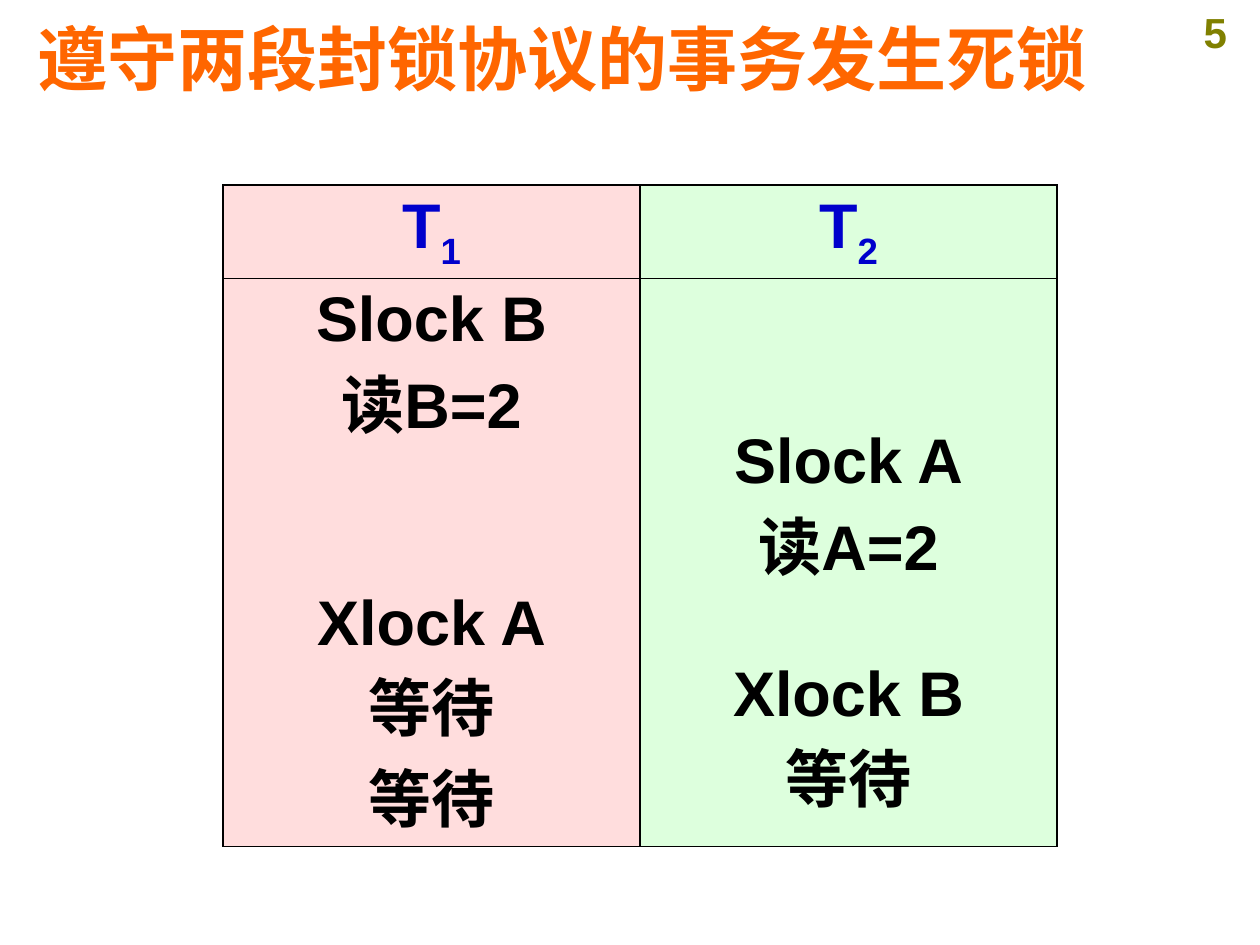
from lxml import etree
from pptx import Presentation
from pptx.dml.color import RGBColor
from pptx.enum import text
from pptx.oxml import ns
from pptx.util import Inches, Pt

ORANGE = RGBColor(0xFF, 0x66, 0x00)
OLIVE = RGBColor(0x80, 0x80, 0x00)
BLUE = RGBColor(0x00, 0x00, 0xCC)
BLACK = RGBColor(0x00, 0x00, 0x00)
PINK = RGBColor(0xFF, 0xDD, 0xDD)
GREEN = RGBColor(0xDD, 0xFF, 0xDD)

TITLE = "遵守两段封锁协议的事务发生死锁"
NUMBER = "5"
TRANSACTIONS = [
    {"sub": "1", "fill": PINK, "steps": [
        ("Slock B", 0), ("读B=2", 0), ("Xlock A", 2), ("等待", 0), ("等待", 0)]},
    {"sub": "2", "fill": GREEN, "steps": [
        ("Slock A", 2), ("读A=2", 0), ("Xlock B", 1), ("等待", 0)]},
]
LINE = 40.5
LEFT, TOP, COL_W = 1.77, 1.47, 3.31
ROW_HEIGHTS = [0.74, 4.51]


def add_run(p, words, size, color):
    r = p.add_run()
    r.text = words
    fmt = {"name": "Arial", "size": Pt(size), "bold": True}
    for key, value in fmt.items():
        setattr(r.font, key, value)
    r.font.color.rgb = color
    return r


def style_cell(cell, color):
    cell.margin_bottom = 0
    cell.fill.solid()
    cell.fill.fore_color.rgb = color
    tc_pr = cell._tc.get_or_add_tcPr()
    for i, side in enumerate(("lnL", "lnR", "lnT", "lnB")):
        ln = etree.Element(ns.qn(f"a:{side}"), w=str(Pt(1)))
        fill = etree.SubElement(ln, ns.qn("a:solidFill"))
        etree.SubElement(fill, ns.qn("a:srgbClr"), val=str(BLACK))
        tc_pr.insert(i, ln)


def add_title(slide):
    sp = slide.shapes.title
    box = {"left": 0.2, "top": 0.08, "width": 9.5, "height": 0.76}
    for key, value in box.items():
        setattr(sp, key, Inches(value))
    tf = sp.text_frame
    tf.auto_size = text.MSO_AUTO_SIZE.NONE
    tf.vertical_anchor = text.MSO_ANCHOR.MIDDLE
    p = tf.paragraphs[0]
    p.alignment = text.PP_ALIGN.LEFT
    add_run(p, TITLE, 40, ORANGE)


def add_number(slide):
    sp = slide.shapes.add_textbox(Inches(9.29), 0, Inches(0.71), Inches(0.5))
    sp.text_frame.word_wrap = True
    p = sp.text_frame.paragraphs[0]
    p.alignment = text.PP_ALIGN.CENTER
    add_run(p, NUMBER, 24, OLIVE)


def add_schedule(slide):
    table = slide.shapes.add_table(
        len(ROW_HEIGHTS), len(TRANSACTIONS), Inches(LEFT), Inches(TOP),
        Inches(COL_W * len(TRANSACTIONS)), Inches(sum(ROW_HEIGHTS))).table
    for row, height in zip(table.rows, ROW_HEIGHTS):
        row.height = Inches(height)
    for col, item in enumerate(TRANSACTIONS):
        table.columns[col].width = Inches(COL_W)
        head, body = table.cell(0, col), table.cell(1, col)
        for cell in (head, body):
            style_cell(cell, item["fill"])
        p = head.text_frame.paragraphs[0]
        p.alignment = text.PP_ALIGN.CENTER
        add_run(p, "T", 36, BLUE)
        sub = add_run(p, item["sub"], 36, BLUE)
        sub._r.get_or_add_rPr().set("baseline", "-25000")
        tf = body.text_frame
        for i, (words, wait) in enumerate(item["steps"]):
            p = tf.add_paragraph() if i else tf.paragraphs[0]
            p.alignment = text.PP_ALIGN.CENTER
            if i:
                p.space_before = Pt(wait * LINE)
            else:
                body.margin_top = Inches(0.05) + Pt(wait * LINE)
            add_run(p, words, 36, BLACK)


def main():
    prs = Presentation()
    prs.slide_width, prs.slide_height = Inches(10), Inches(7.5)
    slide = prs.slides.add_slide(prs.slide_layouts[5])
    add_number(slide)
    add_title(slide)
    add_schedule(slide)
    prs.save("out.pptx")


if __name__ == "__main__":
    main()
